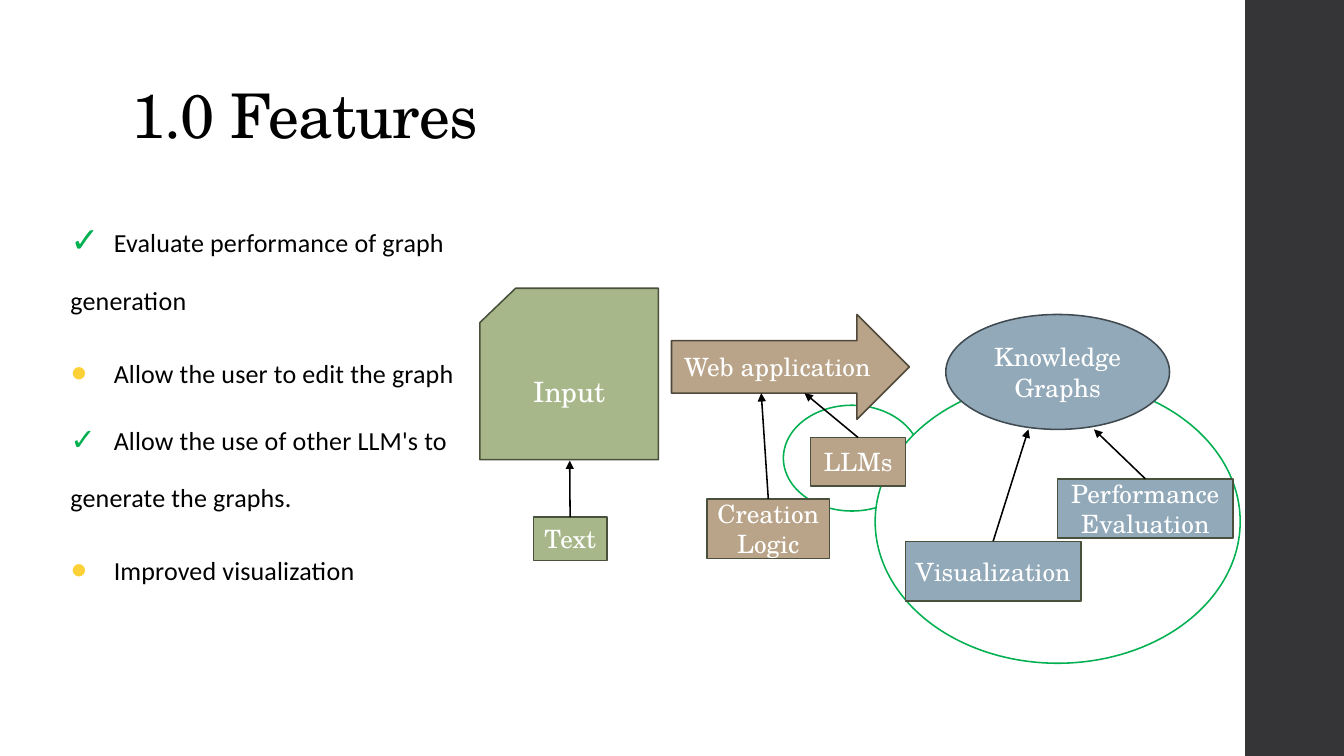
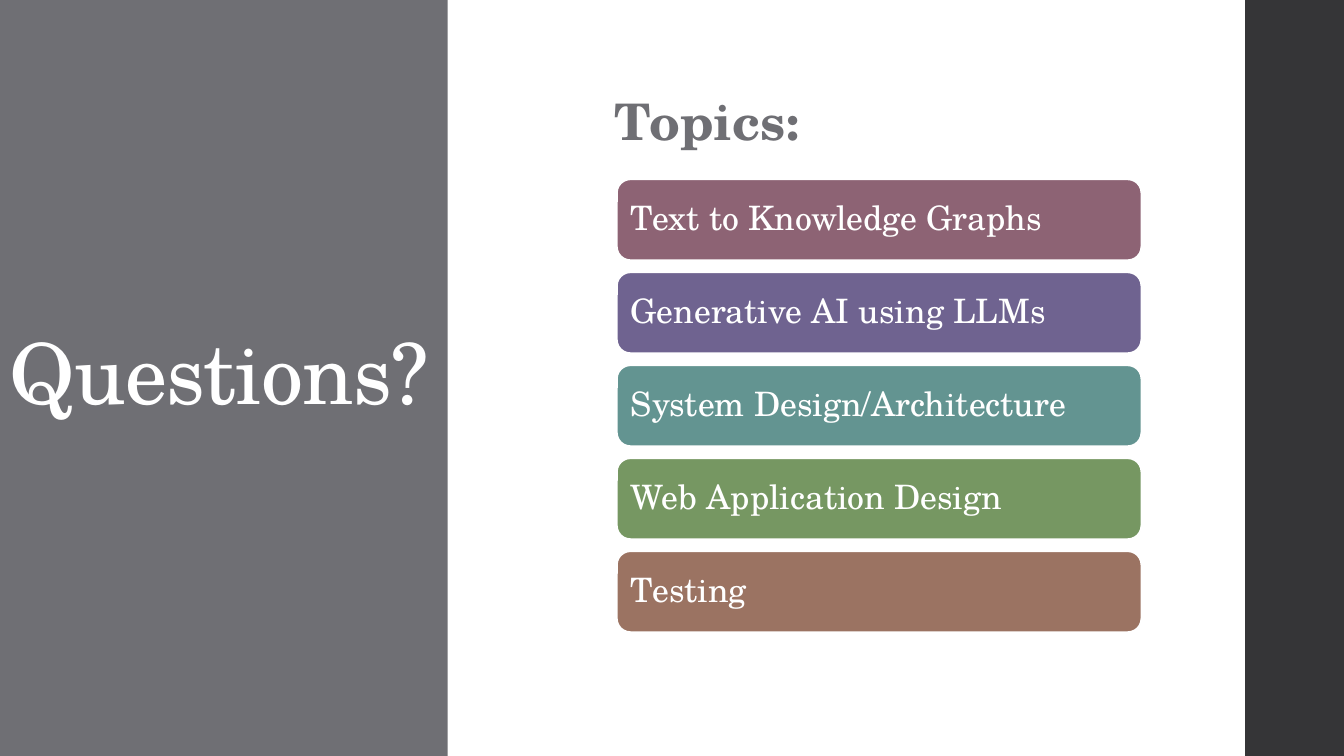
from lxml import etree
from pptx import Presentation
from pptx import util as u
from pptx.dml import color
from pptx.enum import shapes, text
from pptx.oxml import ns

SLIDE_W, SLIDE_H = u.Inches(13.33), u.Inches(7.5)
SERIF, SANS = "TeX Gyre Schola", "Calibri"
WHITE, BLACK, BAND, PANEL = "FFFFFF", "000000", "353537", "6F6F74"
GREEN, YELLOW = "00B050", "FBD137"
INPUT, APP, GRAPH = "A7B789", "B9A489", "92A9B9"
INPUT_EDGE, APP_EDGE, GRAPH_EDGE = "49503C", "51483C", "404A51"
EDGE_WIDTH = u.Pt(1.1)
BAND_LEFT = 92.65
KIND = shapes.MSO_SHAPE
ALIGN, ANCHOR = text.PP_ALIGN, text.MSO_ANCHOR


def across(share):
    return round(SLIDE_W * share / 100)


def down(share):
    return round(SLIDE_H * share / 100)


def place(left, top, width, height):
    return across(left), down(top), across(width), down(height)


def paint(target, hex_color):
    target.solid()
    target.fore_color.rgb = color.RGBColor.from_string(hex_color)


def add_run(paragraph, words, size, hex_color, font=SERIF, bold=False, tracking=0):
    run = paragraph.add_run()
    run.text = words
    run.font.size, run.font.name, run.font.bold = u.Pt(size), font, bold
    paint(run.font.fill, hex_color)
    if tracking:
        run.font._element.set("spc", str(round(tracking * 100)))


def write(holder, words, size, hex_color=WHITE, align=ALIGN.LEFT, anchor=ANCHOR.TOP,
          spacing=1.0, side_inset=0.1, bold=False, tracking=0):
    frame = holder.text_frame
    frame.word_wrap = True
    frame.vertical_anchor = anchor
    frame.margin_left = frame.margin_right = u.Inches(side_inset)
    paragraph = frame.paragraphs[0]
    paragraph.alignment, paragraph.line_spacing = align, spacing
    add_run(paragraph, words, size, hex_color, bold=bold, tracking=tracking)


def add_block(slide, kind, area, fill, edge=None):
    block = slide.shapes.add_shape(kind, *place(*area))
    block.shadow.inherit = False
    paint(block.fill, fill)
    if edge:
        paint(block.line.fill, edge)
        block.line.width = EDGE_WIDTH
    else:
        block.line.fill.background()
    return block


def add_label(slide, area, words, size, **style):
    write(slide.shapes.add_textbox(*place(*area)), words, size, **style)


def add_title(slide, area, words, size, **style):
    add_label(slide, area, words, size, spacing=0.9, tracking=-0.5, **style)


def add_node(slide, kind, area, words, fill, edge=INPUT_EDGE, size=18, side_inset=0.05):
    node = add_block(slide, kind, area, fill, edge)
    write(node, words, size, align=ALIGN.CENTER, anchor=ANCHOR.MIDDLE,
          side_inset=side_inset)
    return node


def add_arrow(slide, source, tip):
    arrow = slide.shapes.add_connector(
        shapes.MSO_CONNECTOR.STRAIGHT, source.left + source.width // 2, source.top,
        across(tip[0]), down(tip[1]))
    paint(arrow.line.fill, BLACK)
    arrow.line.width = EDGE_WIDTH
    etree.SubElement(arrow.line._get_or_add_ln(), ns.qn("a:tailEnd"), type="triangle")
    etree.SubElement(arrow._element.spPr, ns.qn("a:effectLst"))


def add_checklist(slide, area, items, text_start=0.43):
    frame = slide.shapes.add_textbox(*place(*area)).text_frame
    frame.word_wrap = True
    for index, (done, mark_size, words) in enumerate(items):
        paragraph = frame.add_paragraph() if index else frame.paragraphs[0]
        paragraph.line_spacing = 1.8
        stops = etree.SubElement(paragraph._p.get_or_add_pPr(), ns.qn("a:tabLst"))
        etree.SubElement(stops, ns.qn("a:tab"), pos=str(u.Inches(text_start)), algn="l")
        add_run(paragraph, "✓" if done else "•", mark_size, GREEN if done else YELLOW,
                font=SANS, bold=done, tracking=0.1)
        add_run(paragraph, "\t" + words, 18.6, BLACK, font=SANS, tracking=0.1)


def add_slide(deck):
    slide = deck.slides.add_slide(deck.slide_layouts[6])
    paint(slide.background.fill, WHITE)
    add_block(slide, KIND.RECTANGLE, (BAND_LEFT, 0, 100 - BAND_LEFT, 100), BAND)
    return slide


def build_features(deck):
    slide = add_slide(deck)
    for highlight in ((58.29, 53.6, 10.2, 14), (65.12, 50.27, 27.16, 37.47)):
        add_block(slide, KIND.OVAL, highlight, WHITE, GREEN)
    add_title(slide, (9.08, 1.47, 37.36, 19.33), "1.0 Features", 44,
              hex_color=BLACK, anchor=ANCHOR.BOTTOM)
    add_checklist(slide, (4.5, 23.73, 30.46, 63.47), [
        (True, 24.8, "Evaluate performance of graph generation"),
        (False, 24.8, "Allow the user to edit the graph"),
        (True, 21.7, "Allow the use of other LLM's to generate the graphs."),
        (False, 24.8, "Improved visualization"),
    ])

    add_node(slide, KIND.RIGHT_ARROW, (49.96, 41.6, 17.7, 13.87), "Web application",
             APP, APP_EDGE)
    add_node(slide, KIND.FLOWCHART_CARD, (35.71, 38.13, 13.28, 22.67), "Input",
             INPUT, size=20)
    add_node(slide, KIND.OVAL, (70.37, 41.6, 16.65, 15.2), "Knowledge Graphs",
             GRAPH, GRAPH_EDGE, side_inset=0.1)

    parts = [
        ("Text", INPUT, (39.68, 68.4, 5.48, 5.73), (42.39, 60.93)),
        ("LLMs", APP, (60.32, 57.87, 7.05, 6.4), (59.86, 52)),
        ("Creation Logic", APP, (52.59, 66, 9.15, 7.87), (56.64, 52)),
        ("Visualization", GRAPH, (67.37, 71.6, 13.05, 7.87), (76.52, 56.8)),
        ("Performance Evaluation", GRAPH, (78.69, 63.33, 13.05, 7.87), (81.4, 56.8)),
    ]
    for words, fill, area, tip in parts:
        add_arrow(slide, add_node(slide, KIND.RECTANGLE, area, words, fill), tip)


def build_questions(deck):
    slide = add_slide(deck)
    add_block(slide, KIND.RECTANGLE, (0, 0, 33.31, 100), PANEL)
    add_title(slide, (0, 12.13, 35.56, 75.6), "Questions?", 60, anchor=ANCHOR.MIDDLE)
    add_label(slide, (45.01, 11.2, 30.08, 9.47), "Topics:", 36,
              hex_color=PANEL, bold=True)
    topics = [
        ("Text to Knowledge Graphs", "8D6374"),
        ("Generative AI using LLMs", "6F6390"),
        ("System Design/Architecture", "639491"),
        ("Web Application Design", "769762"),
        ("Testing", "9B7362"),
    ]
    for row, (topic, fill) in enumerate(topics):
        bar = add_block(slide, KIND.ROUNDED_RECTANGLE,
                        (45.91, 23.73 + 12.3 * row, 39.01, 10.67), fill, WHITE)
        write(bar, topic, 24, anchor=ANCHOR.MIDDLE, spacing=0.9)


def main():
    deck = Presentation()
    deck.slide_width, deck.slide_height = SLIDE_W, SLIDE_H
    build_features(deck)
    build_questions(deck)
    deck.save("out.pptx")


if __name__ == "__main__":
    main()
